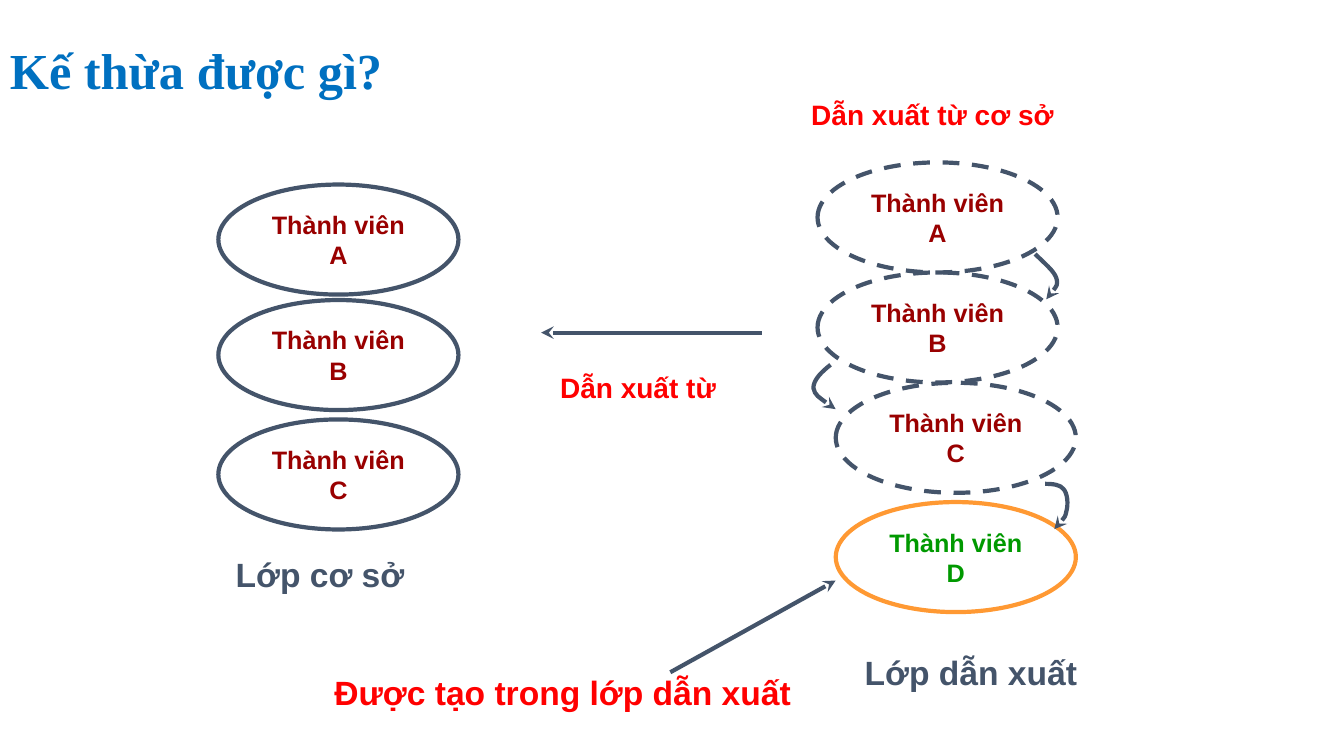
from lxml import etree
from pptx import Presentation
from pptx.dml.color import RGBColor
from pptx.enum import dml, shapes, text
from pptx.oxml import ns
from pptx.util import Pt

COLORS = {"title": "0070C0", "slate": "44546A", "member": "990000",
          "own": "009900", "orange": "FF9933", "note": "FF0000"}
OVAL_W, OVAL_H = 171.5, 78.6
LINE_W = 3

# Content: lengths in points
TITLE = ("Kế thừa được gì?", 0, 31, 540, 41.8)
# letter, left, top, text colour, outline colour, dashed
MEMBERS = [
    ("A", 156, 131.8, "member", "slate", False),
    ("B", 156, 214.3, "member", "slate", False),
    ("C", 156, 299.6, "member", "slate", False),
    ("D", 597, 358.6, "own", "orange", False),
    ("C", 597, 273.4, "member", "slate", True),
    ("B", 584, 194.6, "member", "slate", True),
    ("A", 584, 116, "member", "slate", True),
]
# wording, left, top, width, height, size, colour
LABELS = [
    ("Lớp cơ sở", 161.3, 392.4, 150, 39.6, 24, "slate"),
    ("Lớp dẫn xuất", 610.6, 462.2, 184.3, 39.6, 24, "slate"),
    ("Dẫn xuất từ", 393, 261.4, 139.7, 34.6, 20, "note"),
    ("Dẫn xuất từ cơ sở", 572.4, 66.2, 208, 34.6, 20, "note"),
    ("Được tạo trong lớp dẫn xuất", 231.8, 476.6, 377.3, 39.6, 24, "note"),
]
STRAIGHT_ARROWS = [(544.3, 237.6, 386.6, 237.6), (478.8, 480.2, 596.9, 414.7)]
# Start point, then three points for each Bézier piece
CURVED_ARROWS = [
    [(739.4, 181.4), (745.9, 187.9), (753.1, 193.7), (754.6, 198.7),
     (756, 203.8), (751.7, 208.8), (747.4, 213.8)],
    [(593.3, 260.6), (586.8, 265.7), (581, 271.4), (581, 277.2),
     (581.8, 282.2), (589.7, 287.3), (596.9, 292.3)],
    [(746.6, 345.6), (752.4, 345.6), (757.4, 346.3), (759.6, 349.2),
     (762.5, 352.1), (763.2, 360), (761.8, 365),
     (761, 369.4), (757.4, 373.7), (753.1, 378)],
]


def rgb(name):
    return RGBColor.from_string(COLORS[name])


def write(frame, wording, size, color, face="Arial"):
    frame.text = wording
    paragraph = frame.paragraphs[0]
    paragraph.font.size = Pt(size)
    paragraph.font.bold = True
    paragraph.font.name = face
    paragraph.font.color.rgb = rgb(color)
    return paragraph


def outline(part, color):
    part.line.color.rgb = rgb(color)
    part.line.width = Pt(LINE_W)


def point_arrow(arrow):
    outline(arrow, "slate")
    etree.SubElement(arrow.line._get_or_add_ln(), ns.qn("a:tailEnd"), type="stealth")


def bend(curve):
    """Turn each three line steps of the outline into one Bézier piece."""
    steps = list(curve._element.iter(ns.qn("a:lnTo")))
    for first in range(0, len(steps), 3):
        piece = etree.Element(ns.qn("a:cubicBezTo"))
        steps[first].addprevious(piece)
        for step in steps[first:first + 3]:
            piece.append(step[0])
            step.getparent().remove(step)


deck = Presentation()
deck.slide_width, deck.slide_height = Pt(960), Pt(540)
slide = deck.slides.add_slide(deck.slide_layouts[6])
canvas = slide.shapes

# Title
wording, *place = TITLE
heading = canvas.add_textbox(*map(Pt, place)).text_frame
heading.word_wrap = True
heading.vertical_anchor = text.MSO_ANCHOR.MIDDLE
write(heading, wording, 36, "title", "Times New Roman").line_spacing = 0.9

# Class members
for letter, left, top, ink, edge, dashed in MEMBERS:
    oval = canvas.add_shape(shapes.MSO_SHAPE.OVAL, Pt(left), Pt(top), Pt(OVAL_W), Pt(OVAL_H))
    oval.shadow.inherit = False
    oval.fill.background()
    outline(oval, edge)
    if dashed:
        oval.line.dash_style = dml.MSO_LINE.DASH
    oval.text_frame.word_wrap = True
    oval.text_frame.vertical_anchor = text.MSO_ANCHOR.MIDDLE
    write(oval.text_frame, f"Thành viên {letter}", 18, ink).alignment = text.PP_ALIGN.CENTER

# Labels
for wording, left, top, width, height, size, ink in LABELS:
    label = canvas.add_textbox(Pt(left), Pt(top), Pt(width), Pt(height)).text_frame
    label.word_wrap = False
    write(label, wording, size, ink)

# Straight arrows
for ends in STRAIGHT_ARROWS:
    arrow = canvas.add_connector(shapes.MSO_CONNECTOR.STRAIGHT, *map(Pt, ends))
    point_arrow(arrow)
    etree.SubElement(arrow._element.spPr, ns.qn("a:effectLst"))

# Curved arrows between derived members
for points in CURVED_ARROWS:
    start, *rest = [(Pt(x), Pt(y)) for x, y in points]
    builder = canvas.build_freeform(*start)
    builder.add_line_segments(rest, close=False)
    curve = builder.convert_to_shape()
    curve.shadow.inherit = False
    curve.fill.background()
    bend(curve)
    point_arrow(curve)

deck.save("out.pptx")
